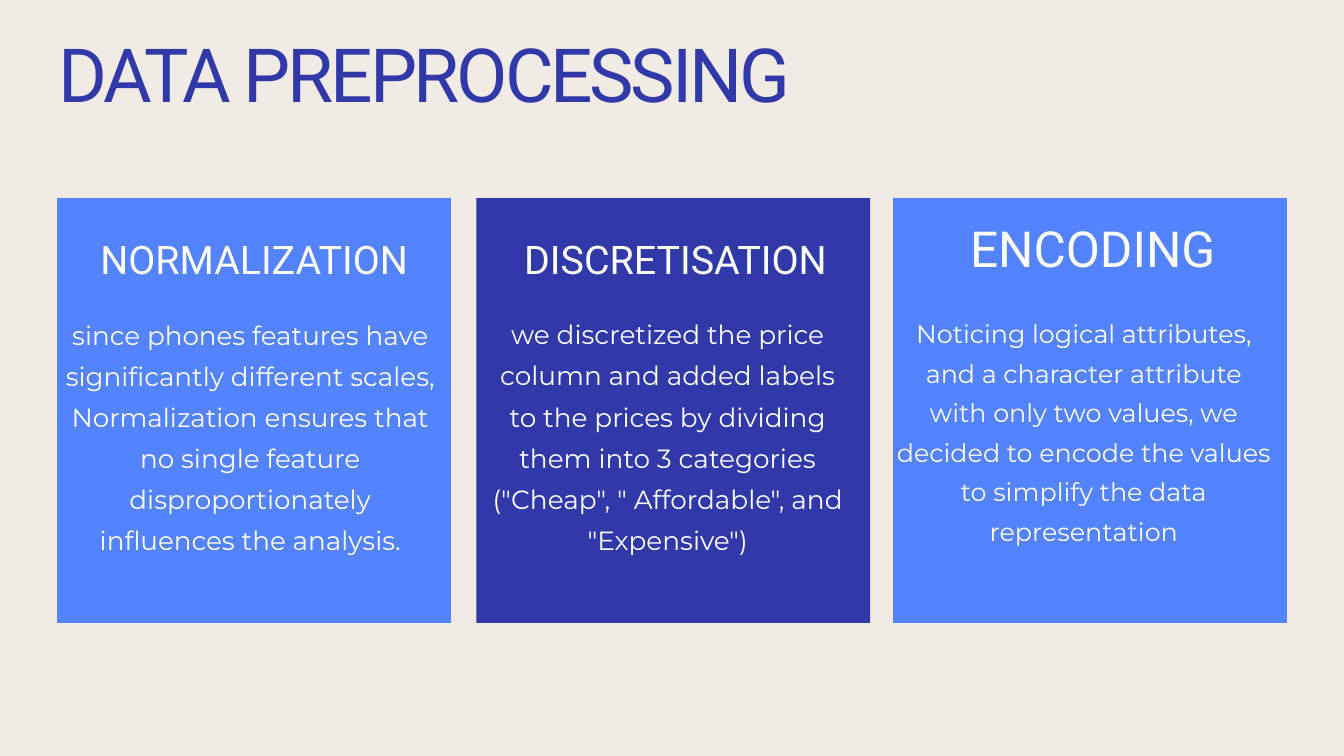
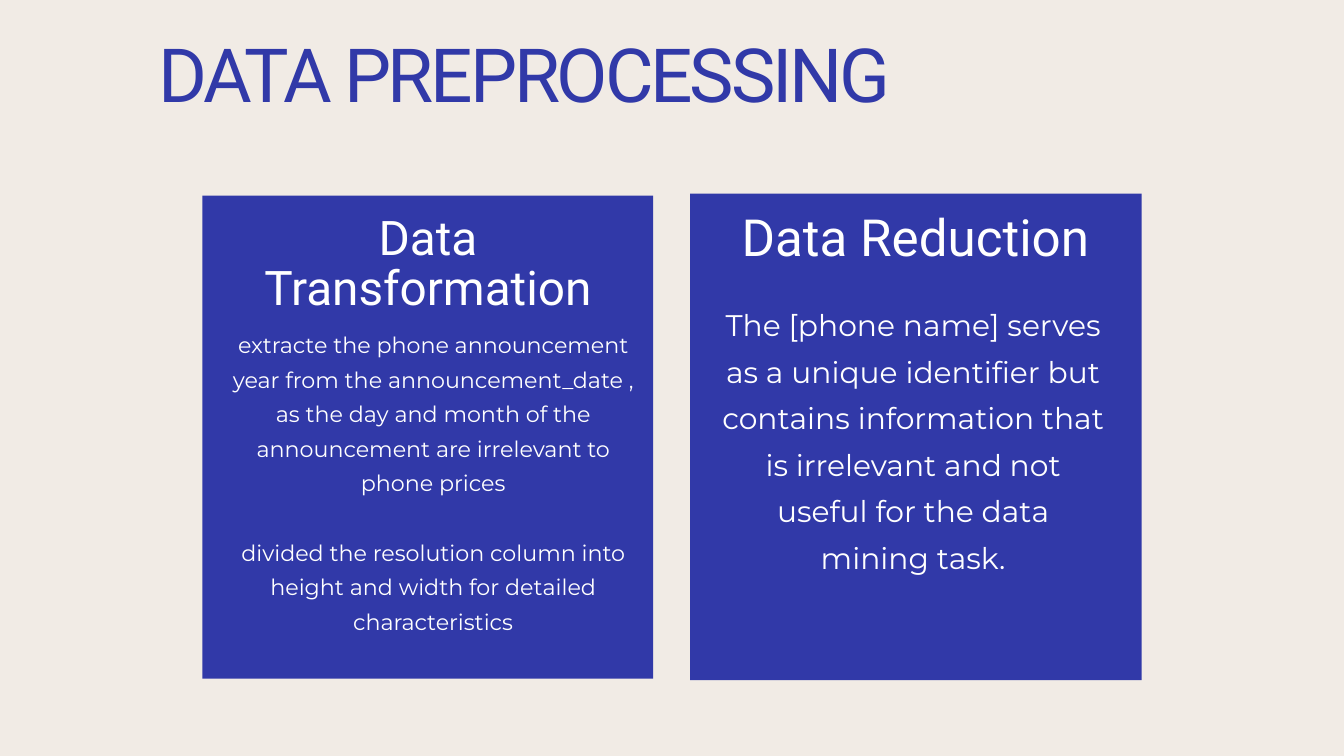
from pptx import Presentation, util as u
from pptx.dml.color import RGBColor
from pptx.enum import shapes, text

CREAM = RGBColor(0xF1, 0xEB, 0xE5)
NAVY = RGBColor(0x31, 0x39, 0xA8)
BLUE = RGBColor(0x53, 0x83, 0xFF)
WHITE = RGBColor(0xFF, 0xFF, 0xFF)
HEADING_FONT = "Roboto"
BODY_FONT = "Montserrat"


def add_text(slide, box, lines, font, size, spacing, color, gap=0):
    shape = slide.shapes.add_textbox(*map(u.Inches, box))
    frame = shape.text_frame
    frame.word_wrap = True
    frame.margin_left = frame.margin_top = frame.margin_right = frame.margin_bottom = 0
    for index, line in enumerate(lines):
        paragraph = frame.paragraphs[0] if index == 0 else frame.add_paragraph()
        paragraph.text = line
        paragraph.alignment = text.PP_ALIGN.CENTER
        paragraph.line_spacing = u.Pt(spacing)
        if index and gap:
            paragraph.space_before = u.Pt(gap)
        paragraph.font.name = font
        paragraph.font.size = u.Pt(size)
        paragraph.font.color.rgb = color
    return shape


def add_card(slide, box, fill, heading, body):
    card = slide.shapes.add_shape(shapes.MSO_SHAPE.RECTANGLE, *map(u.Inches, box))
    card.shadow.inherit = False
    card.fill.solid()
    card.fill.fore_color.rgb = fill
    card.line.fill.background()
    heading_box, title, size, spacing = heading
    add_text(slide, heading_box, [title], HEADING_FONT, size, spacing, WHITE)
    body_box, lines, size, spacing, gap = body
    add_text(slide, body_box, lines, BODY_FONT, size, spacing, WHITE, gap)


method_cards = [
    ((0.85, 2.95, 5.86, 6.32), BLUE,
     ((1.2, 3.6, 5.17, 0.65), "NORMALIZATION", 42.1, 43.4),
     ((0.96, 4.61, 5.53, 3.54),
      ["since phones features have significantly different scales, "
       "Normalization ensures that no single feature disproportionately",
       "influences the analysis."], 28.1, 43.9, 0)),
    ((7.09, 2.95, 5.86, 6.32), NAVY,
     ((7.32, 3.6, 5.47, 0.65), "DISCRETISATION", 42.2, 43.4),
     ((7.32, 4.6, 5.23, 3.55),
      ["we discretized the price column and added labels to the prices by "
       'dividing them into 3 categories ("Cheap", " Affordable", and "Expensive")'],
      28.2, 44, 0)),
    ((13.29, 2.95, 5.86, 6.32), BLUE,
     ((13.37, 3.37, 5.78, 0.81), "ENCODING", 53.2, 54.8),
     ((13.33, 4.6, 5.6, 3.48),
      ["Noticing logical attributes, and a character attribute",
       "with only two values, we decided to encode the values to simplify "
       "the data representation"], 27.2, 42.4, 0)),
]

feature_cards = [
    ((10.27, 2.88, 6.72, 7.24), NAVY,
     ((10.78, 3.19, 5.69, 0.84), "Data Reduction", 54.8, 56.5),
     ((10.71, 4.41, 5.76, 5.46),
      ["The [phone name] serves as a unique identifier but contains information "
       "that is irrelevant and not useful for the data mining task."],
      31.9, 49.8, 0)),
    ((3.01, 2.91, 6.71, 7.19), NAVY,
     ((3.72, 3.22, 5.3, 1.51), "Data Transformation", 51.1, 52.6),
     ((3.4, 4.81, 6.09, 5.09),
      ["extracte the phone announcement year from the announcement_date , as the "
       "day and month of the announcement are irrelevant to phone prices",
       "divided the resolution column into height and width for detailed "
       "characteristics"], 23.8, 37.1, 37.1)),
]

presentation = Presentation()
presentation.slide_width = u.Inches(20)
presentation.slide_height = u.Inches(11.25)

for title_left, cards in ((-0.98, method_cards), (0.51, feature_cards)):
    slide = presentation.slides.add_slide(presentation.slide_layouts[6])
    slide.background.fill.solid()
    slide.background.fill.fore_color.rgb = CREAM
    title = add_text(slide, (title_left, 0.63, 14.59, 1.16), ["DATA PREPROCESSING"],
                     HEADING_FONT, 80, 80, NAVY)
    title_run = title.text_frame.paragraphs[0].runs[0]
    title_run._r.get_or_add_rPr().set("spc", "-340")
    for card in cards:
        add_card(slide, *card)

presentation.save("out.pptx")
